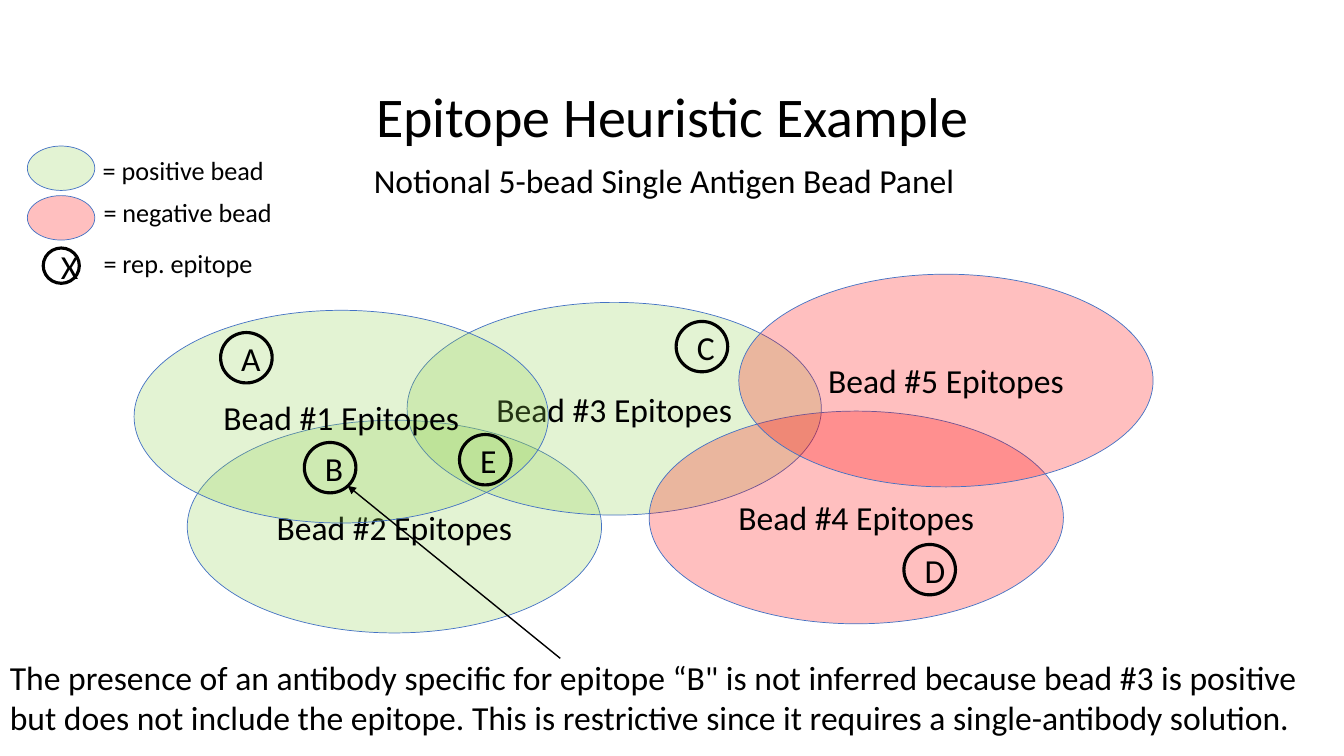
from pptx import Presentation
from pptx.dml.color import RGBColor
from pptx.enum.shapes import MSO_CONNECTOR, MSO_SHAPE
from pptx.enum.text import MSO_ANCHOR, MSO_AUTO_SIZE, PP_ALIGN
from pptx.oxml.ns import qn
from pptx.util import Cm, Pt
from lxml.etree import SubElement

# Content: positions and sizes in cm
TITLE = "Epitope Heuristic Example"
SUBTITLE = "Notional 5-bead Single Antigen Bead Panel"
CONCLUSION = (
    "The presence of an antibody specific for epitope “B\" is not inferred "
    "because bead #3 is positive but does not include the epitope. "
    "This is restrictive since it requires a single-antibody solution."
)
POSITIVE, NEGATIVE = "92D050", "FF0000"
BLACK, OUTLINE = "000000", "4472C4"

BEAD_SIZE = (10.44, 5.36)
BEADS = [  # number, colour, left, top; back to front
    (2, POSITIVE, 4.72, 10.59),
    (3, POSITIVE, 10.26, 7.62),
    (1, POSITIVE, 3.38, 7.82),
    (4, NEGATIVE, 16.36, 10.36),
    (5, NEGATIVE, 18.62, 6.91),
]
EPITOPE_SIZE = (1.3, 1.27)
EPITOPES = {
    "A": (5.56, 8.38),
    "B": (7.67, 11.15),
    "C": (17.04, 8.1),
    "D": (22.78, 13.72),
    "E": (11.58, 10.95),
}
SWATCH_SIZE = (1.7, 1.12)
SWATCHES = [(POSITIVE, 0.69, 3.68), (NEGATIVE, 0.69, 4.93)]
LEGEND = [  # label, left, top, width
    ("= positive bead", 2.34, 3.76, 4.6),
    ("= negative bead", 2.36, 4.83, 4.78),
    ("= rep. epitope", 2.36, 6.12, 4.29),
]
ARROW = (14.12, 16.59, 8.76, 12.24)

deck = Presentation()
deck.slide_width, deck.slide_height = Cm(33.87), Cm(19.05)
slide = deck.slides.add_slide(deck.slide_layouts[6])


def color(hex_code):
    return RGBColor.from_string(hex_code)


def write(frame, text, size=24, align=PP_ALIGN.LEFT, wrap=True, grow=False):
    frame.word_wrap = wrap
    if grow:
        frame.auto_size = MSO_AUTO_SIZE.SHAPE_TO_FIT_TEXT
    paragraph = frame.paragraphs[0]
    paragraph.alignment = align
    run = paragraph.add_run()
    run.text = text
    run.font.size, run.font.name = Pt(size), "Calibri"
    run.font.color.rgb = color(BLACK)


def label(text, left, top, width, height, **text_format):
    box = slide.shapes.add_textbox(Cm(left), Cm(top), Cm(width), Cm(height))
    write(box.text_frame, text, **text_format)


def ellipse(left, top, size, text="", fill=None, line=BLACK, weight=2.25):
    oval = slide.shapes.add_shape(MSO_SHAPE.OVAL, Cm(left), Cm(top), *map(Cm, size))
    oval.shadow.inherit = False
    if fill:
        oval.fill.solid()
        oval.fill.fore_color.rgb = color(fill)
        tint = oval._element.spPr.find(qn("a:solidFill")).find(qn("a:srgbClr"))
        SubElement(tint, qn("a:alpha"), val="25000")
    else:
        oval.fill.background()
    oval.line.color.rgb, oval.line.width = color(line), Pt(weight)
    if text:
        frame = oval.text_frame
        frame.vertical_anchor = MSO_ANCHOR.MIDDLE
        frame.margin_left = frame.margin_right = Cm(0.33)
        frame.margin_top = frame.margin_bottom = Cm(0.18)
        write(frame, text, align=PP_ALIGN.CENTER)


# Headings
label(TITLE, 2.34, 1.93, 29.21, 1.83, size=40, align=PP_ALIGN.CENTER)
label(SUBTITLE, 9.17, 3.91, 15.29, 1.27, wrap=False, grow=True)

# Overlapping beads
for number, fill, left, top in BEADS:
    ellipse(left, top, BEAD_SIZE, f"Bead #{number} Epitopes", fill, OUTLINE, 0.5)

# Legend
for fill, left, top in SWATCHES:
    ellipse(left, top, SWATCH_SIZE, "", fill, OUTLINE, 0.5)
ellipse(1.09, 6.25, (0.91, 0.89), "X")
for text, left, top, width in LEGEND:
    label(text, left, top, width, 1.07, size=18.7, wrap=False, grow=True)

# Conclusion with its arrow to epitope B
label(CONCLUSION, 0, 16.43, 33.87, 2.31, grow=True)
arrow = slide.shapes.add_connector(MSO_CONNECTOR.STRAIGHT, *map(Cm, ARROW))
arrow.line.color.rgb, arrow.line.width = color(BLACK), Pt(1)
SubElement(arrow.line._get_or_add_ln(), qn("a:tailEnd"), type="triangle")
SubElement(arrow._element.spPr, qn("a:effectLst"))

# Epitopes
for letter, (left, top) in EPITOPES.items():
    ellipse(left, top, EPITOPE_SIZE, letter)

deck.save("out.pptx")
